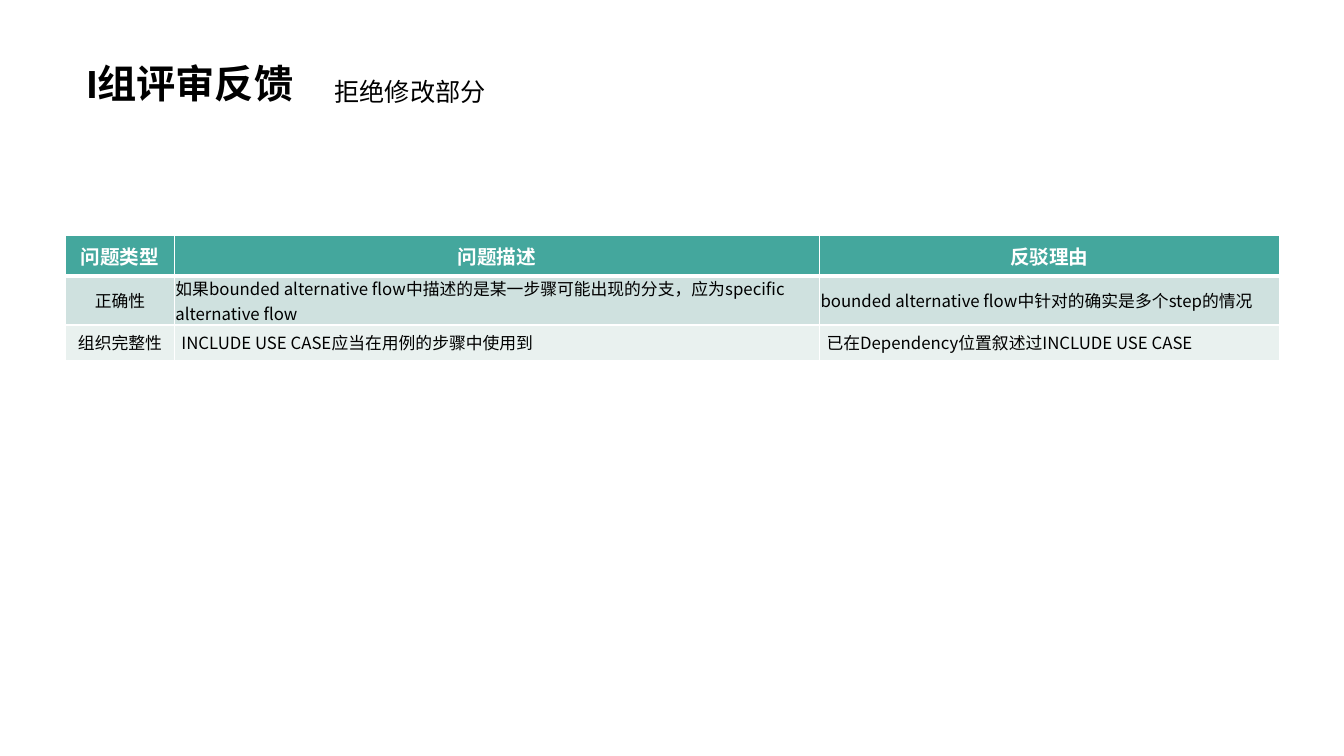
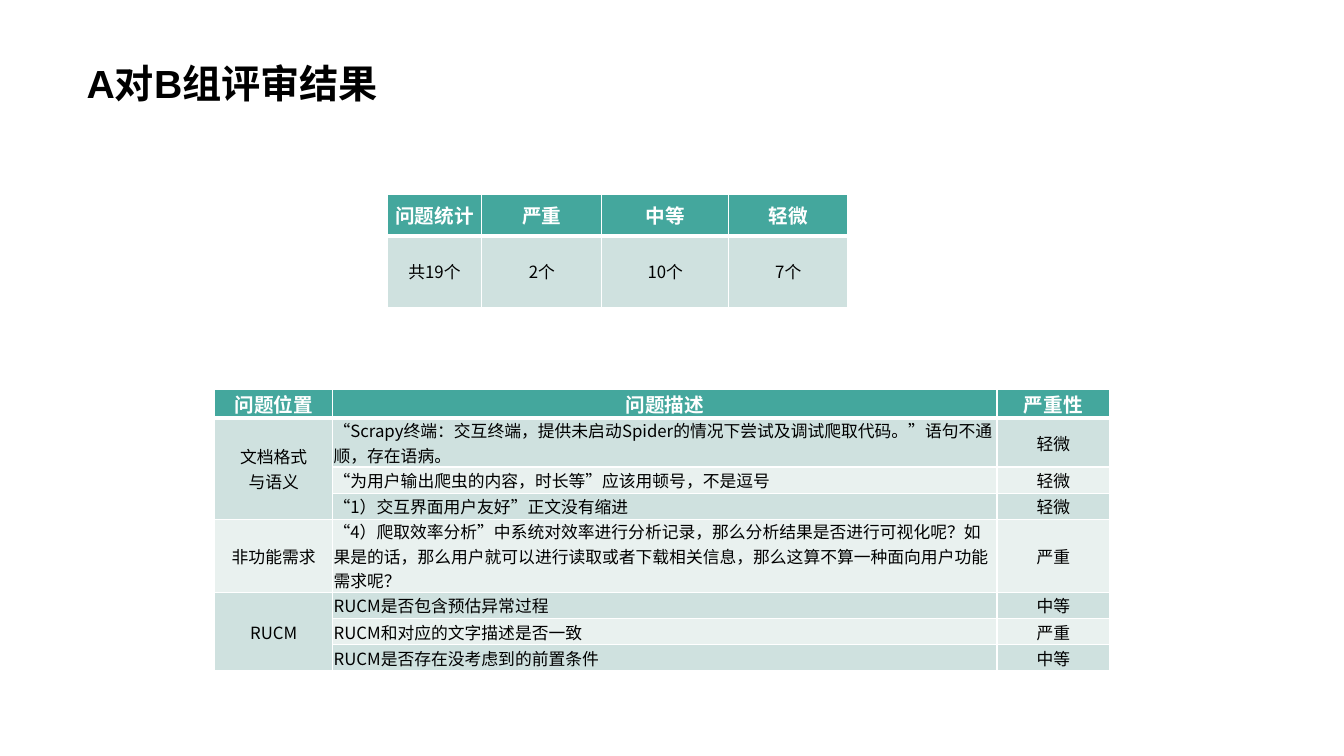
from dataclasses import dataclass

from lxml import etree
from pptx import Presentation
from pptx.dml.color import RGBColor
from pptx.enum import text
from pptx.oxml import ns
from pptx.util import Pt


@dataclass(frozen=True)
class Theme:
    black: str = "000000"
    white: str = "FFFFFF"
    header: str = "44A79D"
    bands: tuple = ("CFE1DF", "E9F1EF")
    latin: str = "Arial"
    chinese: str = "Noto Sans CJK SC"
    title_size: float = 28
    subtitle_size: float = 18
    header_size: float = 14
    body_size: float = 12
    thin_rule: float = 1
    thick_rule: float = 3
    tight_inset: float = 0.72
    wide_inset: float = 5.04


THEME = Theme()
SLIDE_SIZE = (960, 540)
TITLE_BOX = (54.7, 0, 850.3, 79.9)
SUBTITLE_BOX = (231.8, 51.1, 123.8, 28.8)

# In the rows, None continues the cell above it.
SLIDES = [
    {
        "title": "I组评审反馈",
        "subtitle": "拒绝修改部分",
        "tables": [
            {
                "at": (46.8, 168.5),
                "columns": (77.8, 460.8, 328.3),
                "heights": (28.8, 25.2, 25.2),
                "left_columns": (1, 2),
                "indented_rows": (2,),
                "rows": [
                    ("问题类型", "问题描述", "反驳理由"),
                    ("正确性",
                     "如果bounded alternative flow中描述的是某一步骤可能出现的分支，应为specific alternative flow",
                     "bounded alternative flow中针对的确实是多个step的情况"),
                    ("组织完整性", "INCLUDE USE CASE应当在用例的步骤中使用到",
                     "已在Dependency位置叙述过INCLUDE USE CASE"),
                ],
            },
        ],
    },
    {
        "title": "A对B组评审结果",
        "tables": [
            {
                "at": (153.4, 277.9),
                "columns": (84.2, 474.5, 80.6),
                "heights": (20.9,) + (18.7,) * 7,
                "left_columns": (1,),
                "rows": [
                    ("问题位置", "问题描述", "严重性"),
                    ("文档格式\n与语义",
                     "“Scrapy终端：交互终端，提供未启动Spider的情况下尝试及调试爬取代码。”语句不通顺，存在语病。",
                     "轻微"),
                    (None, "“为用户输出爬虫的内容，时长等”应该用顿号，不是逗号", "轻微"),
                    (None, "“1）交互界面用户友好”正文没有缩进", "轻微"),
                    ("非功能需求",
                     "“4）爬取效率分析”中系统对效率进行分析记录，那么分析结果是否进行可视化呢？"
                     "如果是的话，那么用户就可以进行读取或者下载相关信息，那么这算不算一种面向用户功能需求呢？",
                     "严重"),
                    ("RUCM", "RUCM是否包含预估异常过程", "中等"),
                    (None, "RUCM和对应的文字描述是否一致", "严重"),
                    (None, "RUCM是否存在没考虑到的前置条件", "中等"),
                ],
            },
            {
                "at": (276.5, 139),
                "columns": (67.7, 85.7, 90.7, 85),
                "heights": (29.5, 51.1),
                "rows": [
                    ("问题统计", "严重", "中等", "轻微"),
                    ("共19个", "2个", "10个", "7个"),
                ],
            },
        ],
    },
]


def style_paragraph(paragraph, size, color, latin, bold=False,
                    align=text.PP_ALIGN.LEFT):
    paragraph.alignment = align
    font = paragraph.font
    font.size, font.bold, font.name = Pt(size), bold, latin
    font.color.rgb = RGBColor.from_string(color)
    properties = paragraph._p.pPr.find(ns.qn("a:defRPr"))
    etree.SubElement(properties, ns.qn("a:ea"), typeface=THEME.chinese)


def add_title(slide, wording):
    title = slide.shapes.title
    title.left, title.top, title.width, title.height = map(Pt, TITLE_BOX)
    frame = title.text_frame
    frame.text = wording
    frame.vertical_anchor = text.MSO_ANCHOR.BOTTOM
    heading = frame.paragraphs[0]
    heading.line_spacing = 0.9
    style_paragraph(heading, THEME.title_size, THEME.black, THEME.latin, bold=True)


def add_subtitle(slide, wording):
    frame = slide.shapes.add_textbox(*map(Pt, SUBTITLE_BOX)).text_frame
    frame.text = wording
    frame.word_wrap = False
    frame.auto_size = text.MSO_AUTO_SIZE.SHAPE_TO_FIT_TEXT
    style_paragraph(frame.paragraphs[0], THEME.subtitle_size, THEME.black, THEME.latin)


def add_borders(cell, bottom):
    """Rule the cell in white; borders must precede the fill in the XML."""
    properties = cell._tc.get_or_add_tcPr()
    thin = THEME.thin_rule
    widths = {"lnL": thin, "lnR": thin, "lnT": thin, "lnB": bottom}
    for position, (side, width) in enumerate(widths.items()):
        line = etree.Element(ns.qn(f"a:{side}"), w=str(Pt(width)))
        fill = etree.SubElement(line, ns.qn("a:solidFill"))
        etree.SubElement(fill, ns.qn("a:srgbClr"), val=THEME.white)
        properties.insert(position, line)


def fill_cell(cell, wording, is_header, fill, centred, inset):
    cell.fill.solid()
    cell.fill.fore_color.rgb = RGBColor.from_string(fill)
    add_borders(cell, THEME.thick_rule if is_header else THEME.thin_rule)
    cell.vertical_anchor = text.MSO_ANCHOR.MIDDLE
    cell.margin_left = cell.margin_right = Pt(inset)
    cell.margin_top = cell.margin_bottom = 0
    cell.text_frame.text = wording or ""
    for paragraph in cell.text_frame.paragraphs:
        style_paragraph(
            paragraph,
            THEME.header_size if is_header else THEME.body_size,
            THEME.white if is_header else THEME.black,
            THEME.chinese,
            bold=is_header,
            align=text.PP_ALIGN.CENTER if centred else text.PP_ALIGN.LEFT,
        )


def merge_continued(table, rows):
    """Merge each first-column label with the None entries below it."""
    starts = [r for r, row in enumerate(rows) if row[0] is not None]
    for start, following in zip(starts, starts[1:] + [len(rows)]):
        if following - start > 1:
            table.cell(start, 0).merge(table.cell(following - 1, 0))


def add_review_table(slide, content):
    rows, columns, heights = (content[key] for key in ("rows", "columns", "heights"))
    table = slide.shapes.add_table(
        len(rows), len(columns), *map(Pt, content["at"]),
        Pt(sum(columns)), Pt(sum(heights))).table
    table.horz_banding = False
    for column, width in zip(table.columns, columns):
        column.width = Pt(width)
    for r, (row, height) in enumerate(zip(rows, heights)):
        table.rows[r].height = Pt(height)
        is_header = r == 0
        fill = THEME.header if is_header else THEME.bands[(r - 1) % 2]
        for c, wording in enumerate(row):
            centred = is_header or c not in content.get("left_columns", ())
            indented = not centred and r in content.get("indented_rows", ())
            inset = THEME.wide_inset if indented else THEME.tight_inset
            fill_cell(table.cell(r, c), wording, is_header, fill, centred, inset)
    merge_continued(table, rows)


def main():
    deck = Presentation()
    deck.slide_width, deck.slide_height = map(Pt, SLIDE_SIZE)
    title_only = deck.slide_layouts[5]
    for content in SLIDES:
        slide = deck.slides.add_slide(title_only)
        add_title(slide, content["title"])
        for table in content["tables"]:
            add_review_table(slide, table)
        if "subtitle" in content:
            add_subtitle(slide, content["subtitle"])
    deck.save("out.pptx")


if __name__ == "__main__":
    main()
